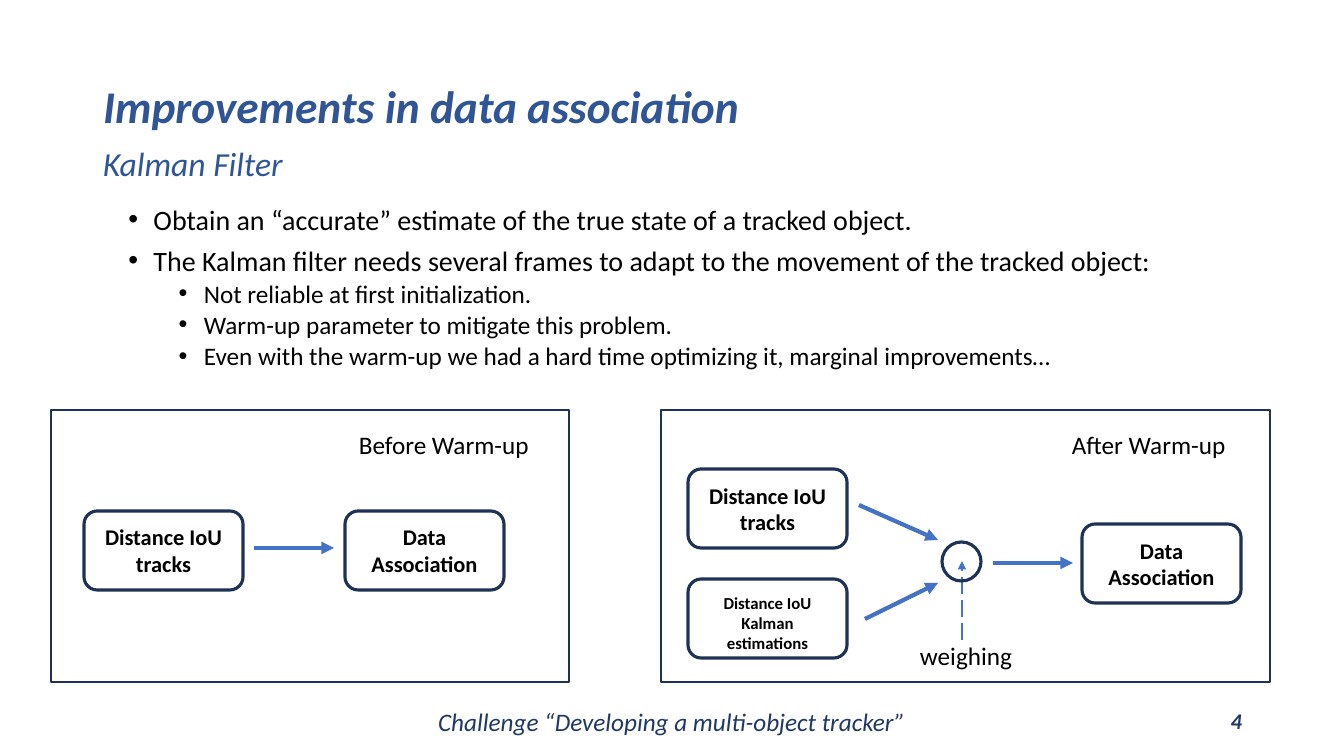
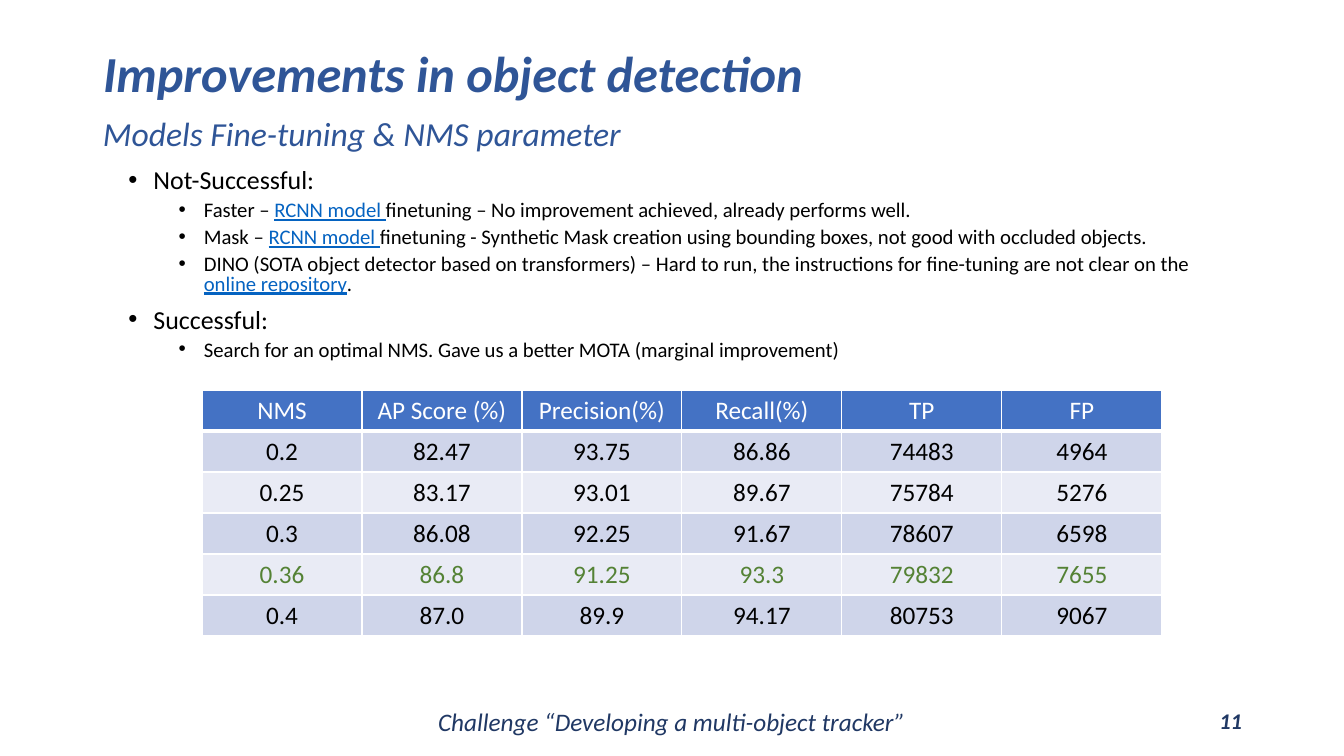
from lxml.etree import SubElement
from pptx import Presentation
from pptx.dml.color import RGBColor
from pptx.enum.dml import MSO_LINE_DASH_STYLE as Dash
from pptx.enum.shapes import MSO_CONNECTOR as Connector, MSO_SHAPE as Shape
from pptx.enum.text import MSO_ANCHOR as Anchor, MSO_AUTO_SIZE as AutoSize, PP_ALIGN as Align
from pptx.oxml.ns import qn
from pptx.util import Pt

PX = 914400 / 100.8
FONT = "Calibri"
BLACK, WHITE = "000000", "FFFFFF"
TITLE_BLUE, FOOTER_BLUE, OUTLINE = "2F5597", "203864", "1E3256"
ACCENT, LINK, BEST_GREEN = "4472C4", "0563C1", "548235"
BANDS = ("CFD5EA", "E9EBF5")
FOOTER = "Challenge “Developing a multi-object tracker”"
TITLE_LEFT, TITLE_HEIGHT = 93, 74

ASSOCIATION = {
    "title": "Improvements in data association", "title_size": 32.4,
    "title_top": 64, "title_width": 702,
    "subtitle": "Kalman Filter", "subtitle_width": 381,
    "body_box": (93, 204, 1102, 180), "sizes": (20, 18), "number": "4",
    "points": [
        (0, ["Obtain an “accurate” estimate of the true state of a tracked object."]),
        (0, ["The Kalman filter needs several frames to adapt to the movement of the tracked object:"]),
        (1, ["Not reliable at first initialization."]),
        (1, ["Warm-up parameter to mitigate this problem."]),
        (1, ["Even with the warm-up we had a hard time optimizing it, marginal improvements…"]),
    ],
}
DETECTION = {
    "title": "Improvements in object detection", "title_size": 36,
    "title_top": 34, "title_width": 887,
    "subtitle": "Models Fine-tuning & NMS parameter", "subtitle_width": 636,
    "body_box": (93, 165, 1149, 213), "sizes": (18.5, 14.8), "number": "11",
    "points": [
        (0, ["Not-Successful:"]),
        (1, ["Faster – ", "RCNN model ",
             "finetuning – No improvement achieved, already performs well."]),
        (1, ["Mask – ", "RCNN model ",
             "finetuning - Synthetic Mask creation using bounding boxes, not good with occluded objects."]),
        (1, ["DINO (SOTA object detector based on transformers) – Hard to run, "
             "the instructions for fine-tuning are not clear on the ", "online repository", "."]),
        (0, ["Successful:"]),
        (1, ["Search for an optimal NMS. Gave us a better MOTA (marginal improvement)"]),
    ],
}

PANELS = [(51, 410, 518, 272), (661, 410, 609, 272)]
STAGE_SIZE = (159, 79)
STAGES = [
    ("Distance IoU tracks", 84, 511, 16, 0),
    ("Data Association", 345, 511, 16, 0),
    ("Distance IoU tracks", 688, 469, 16, 0),
    ("Distance IoU Kalman estimations", 688, 579, 12, 8),
    ("Data Association", 1082, 524, 16, 0),
]
MERGE_NODE = (942, 542, 39, 39)
FLOWS = [
    (254, 548, 334, 548),
    (859, 505, 938, 540),
    (865, 619, 938, 583),
    (993, 563, 1073, 563),
]
WEIGHING_FLOW = (962, 640, 962, 561)
LABELS = [
    ("Before Warm-up", (349, 424, 192, 40)),
    ("After Warm-up", (1062, 424, 190, 40)),
    ("weighing", (910, 635, 124, 40)),
]

NMS_HEADER = ["NMS", "AP Score (%)", "Precision(%)", "Recall(%)", "TP", "FP"]
NMS_RESULTS = [
    ["0.2", "82.47", "93.75", "86.86", "74483", "4964"],
    ["0.25", "83.17", "93.01", "89.67", "75784", "5276"],
    ["0.3", "86.08", "92.25", "91.67", "78607", "6598"],
    ["0.36", "86.8", "91.25", "93.3", "79832", "7655"],
    ["0.4", "87.0", "89.9", "94.17", "80753", "9067"],
]
BEST_NMS = "0.36"
TABLE_LEFT, TABLE_TOP, COLUMN_WIDTH, ROW_HEIGHT = 202, 390, 160, 41


def px(*lengths):
    return [round(length * PX) for length in lengths]


def rgb(color):
    return RGBColor.from_string(color)


def add_run(paragraph, text, size, color=BLACK, bold=False, italic=False, underline=False):
    run = paragraph.add_run()
    run.text = text
    font = run.font
    font.name, font.size, font.color.rgb = FONT, Pt(size), rgb(color)
    font.bold, font.italic, font.underline = bold, italic, underline


def place(placeholder, box, anchor):
    placeholder.left, placeholder.top, placeholder.width, placeholder.height = px(*box)
    frame = placeholder.text_frame
    frame.auto_size, frame.word_wrap, frame.vertical_anchor = AutoSize.NONE, True, anchor
    return frame


def add_text(slide, text, box, size, color=BLACK, align=Align.LEFT,
             anchor=Anchor.TOP, **style):
    frame = slide.shapes.add_textbox(*px(*box)).text_frame
    frame.word_wrap, frame.vertical_anchor = True, anchor
    paragraph = frame.paragraphs[0]
    paragraph.alignment = align
    add_run(paragraph, text, size, color, **style)


def add_point(paragraph, level, texts, size):
    paragraph.level, paragraph.alignment = level, Align.LEFT
    paragraph.line_spacing = 0.8
    paragraph.space_before = Pt((10, 5)[level])
    properties = paragraph._p.get_or_add_pPr()
    properties.set("marL", str((457200, 914400)[level]))
    properties.set("indent", "-228600")
    SubElement(properties, qn("a:buFont"), typeface="Arial")
    SubElement(properties, qn("a:buChar"), char="•")
    for index, text in enumerate(texts):
        linked = index == 1
        add_run(paragraph, text, size, LINK if linked else BLACK, underline=linked)


def add_content_slide(deck, content):
    slide = deck.slides.add_slide(deck.slide_layouts[0])
    top = content["title_top"]
    heading = place(slide.shapes.title,
                    (TITLE_LEFT, top, content["title_width"], TITLE_HEIGHT),
                    Anchor.BOTTOM).paragraphs[0]
    heading.alignment, heading.line_spacing = Align.LEFT, 0.9
    add_run(heading, content["title"], content["title_size"], TITLE_BLUE, bold=True, italic=True)

    body = place(slide.placeholders[1], content["body_box"], Anchor.TOP)
    for index, (level, texts) in enumerate(content["points"]):
        paragraph = body.add_paragraph() if index else body.paragraphs[0]
        add_point(paragraph, level, texts, content["sizes"][level])

    add_text(slide, content["subtitle"],
             (TITLE_LEFT, top + TITLE_HEIGHT, content["subtitle_width"], 82),
             24, TITLE_BLUE, italic=True)
    add_text(slide, FOOTER, (424, 701, 496, 40), 18, FOOTER_BLUE,
             Align.CENTER, Anchor.MIDDLE, italic=True)
    add_text(slide, content["number"], (950, 701, 302, 40), 16, FOOTER_BLUE,
             Align.RIGHT, Anchor.MIDDLE, bold=True, italic=True)
    return slide


def add_outline(slide, kind, box, weight):
    outline = slide.shapes.add_shape(kind, *px(*box))
    outline.shadow.inherit = False
    outline.fill.background()
    outline.line.color.rgb, outline.line.width = rgb(OUTLINE), Pt(weight)
    return outline


def add_arrow(slide, ends, weight, dash=None):
    arrow = slide.shapes.add_connector(Connector.STRAIGHT, *px(*ends))
    arrow.line.color.rgb, arrow.line.width = rgb(ACCENT), Pt(weight)
    if dash:
        arrow.line.dash_style = dash
    properties = arrow._element.spPr
    SubElement(properties.find(qn("a:ln")), qn("a:tailEnd"), type="triangle")
    SubElement(properties, qn("a:effectLst"))


def add_diagrams(slide):
    add_arrow(slide, WEIGHING_FLOW, 1.5, Dash.LONG_DASH)
    for panel in PANELS:
        add_outline(slide, Shape.RECTANGLE, panel, 1)
    for text, left, top, size, drop in STAGES:
        stage = add_outline(slide, Shape.ROUNDED_RECTANGLE, (left, top, *STAGE_SIZE), 2.25)
        frame = stage.text_frame
        frame.word_wrap, frame.vertical_anchor = True, Anchor.MIDDLE
        frame.margin_top, frame.margin_bottom = px(5 + drop, 5)
        frame.paragraphs[0].alignment = Align.CENTER
        add_run(frame.paragraphs[0], text, size, bold=True)
    add_outline(slide, Shape.OVAL, MERGE_NODE, 2.25)
    for flow in FLOWS:
        add_arrow(slide, flow, 3)
    for text, box in LABELS:
        add_text(slide, text, box, 18)


def set_borders(cell, bottom_weight):
    properties = cell._tc.get_or_add_tcPr()
    weights = {"a:lnL": 1, "a:lnR": 1, "a:lnT": 1, "a:lnB": bottom_weight}
    for index, (side, weight) in enumerate(weights.items()):
        border = SubElement(properties, qn(side), w=str(Pt(weight)))
        SubElement(SubElement(border, qn("a:solidFill")), qn("a:srgbClr"), val=WHITE)
        properties.insert(index, border)


def add_results(slide):
    rows = [NMS_HEADER, *NMS_RESULTS]
    columns = len(NMS_HEADER)
    table = slide.shapes.add_table(
        len(rows), columns,
        *px(TABLE_LEFT, TABLE_TOP, columns * COLUMN_WIDTH, len(rows) * ROW_HEIGHT)).table
    for column in table.columns:
        column.width = px(COLUMN_WIDTH)[0]
    for index, values in enumerate(rows):
        table.rows[index].height = px(ROW_HEIGHT)[0]
        is_header = index == 0
        fill = ACCENT if is_header else BANDS[(index - 1) % 2]
        color = WHITE if is_header else BEST_GREEN if values[0] == BEST_NMS else BLACK
        for cell, value in zip(table.rows[index].cells, values):
            cell.fill.solid()
            cell.fill.fore_color.rgb = rgb(fill)
            set_borders(cell, 3 if is_header else 1)
            paragraph = cell.text_frame.paragraphs[0]
            paragraph.alignment = Align.CENTER
            add_run(paragraph, value, 18, color)


def main():
    deck = Presentation()
    deck.slide_width, deck.slide_height = px(1344, 756)
    add_diagrams(add_content_slide(deck, ASSOCIATION))
    add_results(add_content_slide(deck, DETECTION))
    deck.save("out.pptx")


if __name__ == "__main__":
    main()
